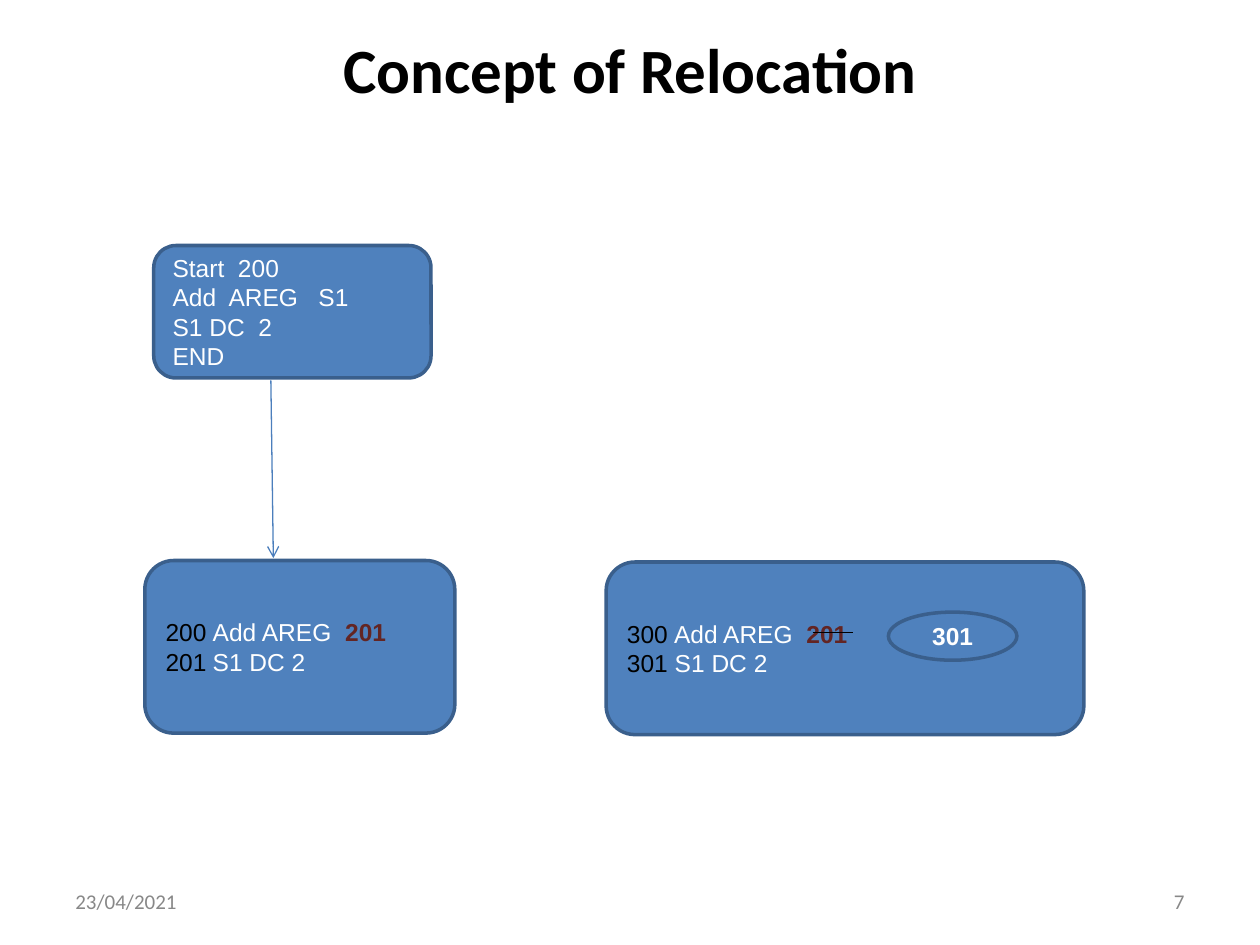
"""Build a slide that explains program relocation with code boxes."""
import pptx
import pptx.dml.color
import pptx.enum.shapes
import pptx.enum.text
import pptx.oxml.ns
import pptx.util
from lxml import etree

Cm, Pt = pptx.util.Cm, pptx.util.Pt
SHAPES = pptx.enum.shapes.MSO_SHAPE
ALIGN = pptx.enum.text.PP_ALIGN
ANCHOR = pptx.enum.text.MSO_ANCHOR
WHITE, BLACK, GREY = "FFFFFF", "000000", "888888"
ADDRESS_RED, BOX_FILL, BOX_LINE, ARROW_BLUE = "632523", "4F81BD", "3A5F8C", "4B7EBC"
HANGING = Cm(0.95)

TITLE = ("Concept of Relocation", (1.91, 0.79, 21.59, 1.47))
FOOTERS = [
    ("23/04/2021", (1.27, 17.65, 5.92, 1.02), ALIGN.LEFT),
    ("7", (18.21, 17.65, 5.92, 1.02), ALIGN.RIGHT),
]
ADD_RUNS = [("Add AREG  ", WHITE, False), ("201", ADDRESS_RED, True)]
BOXES = [
    {"at": (2.92, 11.3, 6.25, 3.48), "start": 200, "hanging": True,
     "lines": [ADD_RUNS, [("S1 DC 2", WHITE, False)]]},
    {"at": (3.1, 4.95, 5.59, 2.67),
     "lines": [[(line, WHITE, False)] for line in
               ("Start  200", "Add  AREG   S1", "S1 DC  2", "END")]},
    {"at": (12.22, 11.33, 9.63, 3.48), "hanging": True,
     "lines": [[("300", BLACK, False), ("\t", WHITE, False), *ADD_RUNS],
               [("301", BLACK, False), (" S1 DC 2", WHITE, False)]]},
    {"at": (17.91, 12.34, 2.59, 0.97), "shape": SHAPES.OVAL, "align": ALIGN.CENTER,
     "lines": [[("301", WHITE, True)]]},
]
ASSEMBLY_ARROW = (5.46, 7.67, 5.51, 11.25)
STRIKE_LINE = (16.38, 12.75, 17.2, 12.75)


def color(value):
    return pptx.dml.color.RGBColor.from_string(value)


def add_child(parent, tag, **attributes):
    child = etree.SubElement(parent, pptx.oxml.ns.qn(tag))
    for name, value in attributes.items():
        child.set(name, str(value))
    return child


def set_font(font, name, size, value, bold=False):
    font.name, font.size, font.bold = name, Pt(size), bold
    font.color.rgb = color(value)


def add_box(slide, at, lines, shape=SHAPES.ROUNDED_RECTANGLE, align=ALIGN.LEFT,
            hanging=False, start=None):
    box = slide.shapes.add_shape(shape, *map(Cm, at))
    box.shadow.inherit = False
    box.fill.solid()
    box.fill.fore_color.rgb = color(BOX_FILL)
    box.line.color.rgb = color(BOX_LINE)
    box.line.width = Pt(2)
    frame = box.text_frame
    frame.vertical_anchor = ANCHOR.MIDDLE
    for index, runs in enumerate(lines):
        paragraph = frame.add_paragraph() if index else frame.paragraphs[0]
        paragraph.alignment = align
        for text, value, bold in runs:
            run = paragraph.add_run()
            run.text = text
            set_font(run.font, "Arial", 14, value, bold)
        properties = paragraph._p.get_or_add_pPr()
        if hanging:
            properties.set("marL", str(HANGING))
            properties.set("indent", str(-HANGING))
        if start:
            add_child(add_child(properties, "a:buClr"), "a:srgbClr", val=BLACK)
            add_child(properties, "a:buFont", typeface="Arial")
            add_child(properties, "a:buAutoNum", type="arabicPlain", startAt=start)


def add_line(slide, ends, value, arrow=False):
    line = slide.shapes.add_connector(
        pptx.enum.shapes.MSO_CONNECTOR.STRAIGHT, *map(Cm, ends))
    line.line.color.rgb = color(value)
    line.line.width = Pt(0.75)
    if arrow:
        add_child(line.line._get_or_add_ln(), "a:tailEnd", type="arrow")
    add_child(line._element.spPr, "a:effectLst")


def set_text(shape, text, align, anchor, size, value, bold=False):
    frame = shape.text_frame
    frame.text = text
    frame.word_wrap = True
    frame.auto_size = pptx.enum.text.MSO_AUTO_SIZE.NONE
    frame.vertical_anchor = anchor
    paragraph = frame.paragraphs[0]
    paragraph.alignment = align
    set_font(paragraph.font, "Calibri", size, value, bold)


presentation = pptx.Presentation()
presentation.slide_width, presentation.slide_height = Cm(25.4), Cm(19.05)
slide = presentation.slides.add_slide(presentation.slide_layouts[5])

title = slide.shapes.title
title.left, title.top, title.width, title.height = map(Cm, TITLE[1])
set_text(title, TITLE[0], ALIGN.CENTER, ANCHOR.BOTTOM, 36, BLACK, True)

for text, at, align in FOOTERS:
    footer = slide.shapes.add_textbox(*map(Cm, at))
    set_text(footer, text, align, ANCHOR.MIDDLE, 12, GREY)

for box in BOXES:
    add_box(slide, **box)
add_line(slide, ASSEMBLY_ARROW, ARROW_BLUE, arrow=True)
add_line(slide, STRIKE_LINE, BLACK)

presentation.save("out.pptx")
